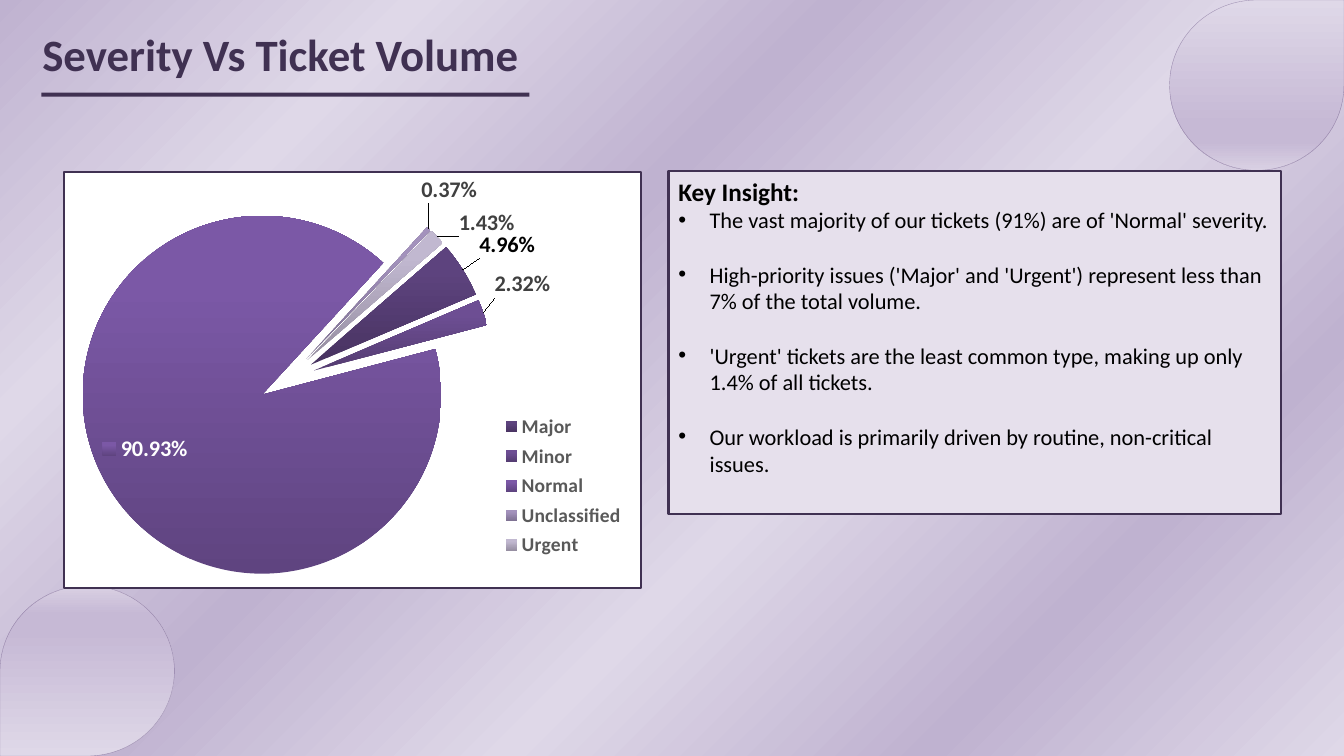
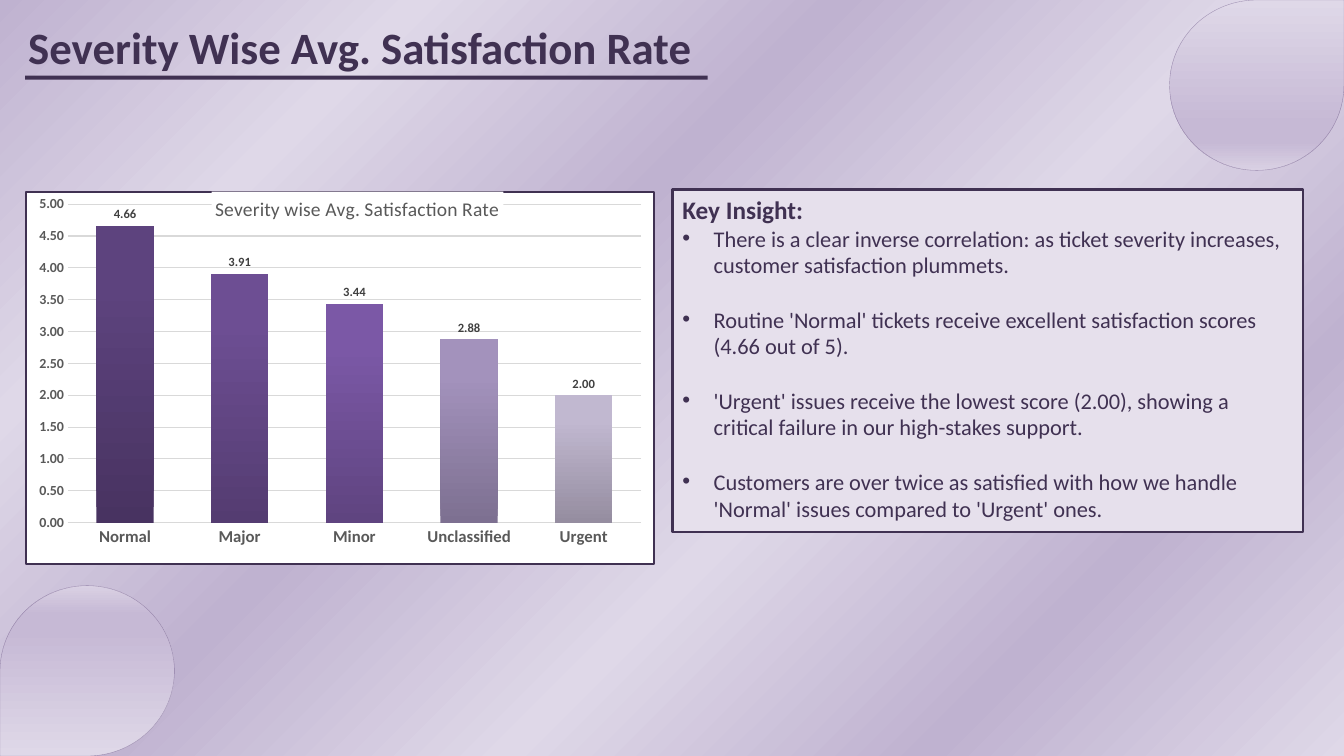
from lxml import etree
from pptx import Presentation, util as u
from pptx.chart.data import CategoryChartData
from pptx.dml.color import RGBColor
from pptx.enum import chart as ec, shapes, text
from pptx.oxml import parse_xml
from pptx.oxml.ns import nsdecls, qn

WIDE, HIGH = 13.33, 7.5
FACE = "Calibri"
INK, GREY, PALE, BLACK, WHITE = "403152", "595959", "E6E0EC", "000000", "FFFFFF"
BACK = [(0, "BFB2D0"), (20, "DFD8E8"), (40, "BFB2D0"),
        (60, "DFD8E8"), (80, "BFB2D0"), (100, "DFD8E8")]
DROP = [(0, "DFD8E8"), (74, "C6B9D5"), (83, "C6B9D5"), (100, "D9D0E3")]
TONES = [("483361", "5D437E", "5E4280"), ("543C71", "6D4E93", "6E4D95"),
         ("5F4480", "7B58A6", "7C57A8"), ("7D7091", "A392BC", "A391BE"),
         ("958DA0", "C1B8D0", "C2B8D1")]


def rgb(tone):
    return RGBColor.from_string(tone)


def box(x, y, w, h):
    return [u.Inches(v) for v in (x, y, w, h)]


def put(item, **vals):
    for key, val in vals.items():
        setattr(item, key, val)


def style(font, size, tone, bold=False):
    put(font, name=FACE, size=u.Pt(size), bold=bold)
    font.color.rgb = rgb(tone)


def paint(fill, tone):
    fill.solid()
    fill.fore_color.rgb = rgb(tone)


def blend(fill, stops, turn):
    """Fill with a gradient; turn is the clockwise angle in degrees."""
    fill.gradient()
    fill.gradient_angle = 360 - turn
    stack = fill.gradient_stops[0]._gs.getparent()
    for old in list(stack):
        stack.remove(old)
    for pos, tone in stops:
        stop = etree.SubElement(stack, qn("a:gs"), pos=str(pos * 1000))
        etree.SubElement(stop, qn("a:srgbClr"), val=tone)


def solid(slide, kind, place, tone=None, edge=None, width=1.5):
    shape = slide.shapes.add_shape(kind, *box(*place))
    shape.shadow.inherit = False
    if tone:
        paint(shape.fill, tone)
    if edge:
        shape.line.color.rgb = rgb(edge)
        shape.line.width = u.Pt(width)
    else:
        shape.line.fill.background()
    return shape


def scene(slide):
    """Draw the striped background and the two corner drops."""
    blend(slide.background.fill, BACK, 45)
    w, h = 1.73, 1.69
    for x, y, turn in ((WIDE - w, 0, 0), (0, HIGH - h, 180)):
        drop = solid(slide, shapes.MSO_SHAPE.TEAR, (x, y, w, h),
                     edge="604A7B", width=0.25)
        drop.rotation = turn
        blend(drop.fill, DROP, 90)
        tint = drop._element.spPr.xpath("a:ln//a:srgbClr")[0]
        etree.SubElement(tint, qn("a:alpha"), val="50000")


def head(slide, words, place, rule):
    frame = slide.shapes.add_textbox(*box(*place)).text_frame
    put(frame, word_wrap=True, margin_left=u.Inches(0.01), margin_right=0,
        margin_top=u.Inches(0.01), margin_bottom=0)
    frame.text = words
    style(frame.paragraphs[0].font, 32, INK, True)
    solid(slide, shapes.MSO_SHAPE.RECTANGLE, rule, INK)


def bullet(par):
    props = par._p.get_or_add_pPr()
    props.set("marL", str(u.Inches(0.31)))
    props.set("indent", str(-u.Inches(0.31)))
    etree.SubElement(props, qn("a:buFont"), typeface="Arial")
    etree.SubElement(props, qn("a:buChar"), char="•")


def panel(slide, place, notes, tone):
    frame = solid(slide, shapes.MSO_SHAPE.RECTANGLE, place, PALE, INK).text_frame
    put(frame, word_wrap=True, vertical_anchor=text.MSO_ANCHOR.TOP)
    for row, words in enumerate(["Key Insight:"] + notes):
        par = frame.add_paragraph() if row else frame.paragraphs[0]
        par.text = words
        par.alignment = text.PP_ALIGN.LEFT
        if row > 1:
            par.space_before = u.Pt(19.5)
        if row:
            bullet(par)
        style(par.font, 16 if row else 18, tone, not row)


def layout(node, spot, at=1, **vals):
    """Give a chart part a manual layout as its child number at."""
    for old in node.findall(qn("c:layout")):
        node.remove(old)
    rules = "".join(f'<c:{k} val="{v}"/>' for k, v in (vals | spot).items())
    node.insert(at, parse_xml(f'<c:layout {nsdecls("c")}><c:manualLayout>'
                              f'{rules}</c:manualLayout></c:layout>'))


def spot(x, y, w, h):
    return dict(xMode="edge", yMode="edge", x=x, y=y, w=w, h=h)


def graph(slide, kind, place, cats, vals, form, size, area):
    """Add a framed one-series chart with shaded points and value labels."""
    data = CategoryChartData(number_format=form)
    data.categories = cats
    data.add_series("Series 1", vals)
    chart = slide.shapes.add_chart(kind, *box(*place), data).chart
    style(chart.font, 10, BLACK)
    put(chart, has_title=False, has_legend=False)
    chart._chartSpace.chart.addnext(parse_xml(
        f'<c:spPr {nsdecls("c", "a")}>'
        f'<a:solidFill><a:srgbClr val="{WHITE}"/></a:solidFill>'
        f'<a:ln w="{u.Pt(1.5)}"><a:solidFill><a:srgbClr val="{INK}"/>'
        '</a:solidFill></a:ln></c:spPr>'))
    layout(chart._chartSpace.chart.plotArea, spot(*area), 0, layoutTarget="inner")
    line = chart.plots[0].series[0]
    for num, tones in enumerate(TONES):
        blend(line.points[num].format.fill, list(zip((0, 80, 100), tones)), 270)
    put(line.data_labels, show_value=True, number_format=form,
        number_format_is_linked=False)
    style(line.data_labels.font, size, "404040", True)
    return chart, line


def pie(slide, place):
    cats = ["Major", "Minor", "Normal", "Unclassified", "Urgent"]
    vals = [0.0496, 0.0232, 0.9093, 0.0037, 0.0143]
    chart, line = graph(slide, ec.XL_CHART_TYPE.PIE, place, cats, vals,
                        "0.00%", 16, (0.006, 0, 0.76, 1))
    plot = chart.plots[0]
    plot.vary_by_categories = True
    plot._element.xpath("c:firstSliceAng") or etree.SubElement(
        plot._element, qn("c:firstSliceAng"))
    plot._element.find(qn("c:firstSliceAng")).set("val", "49")
    line._element.xpath("c:dPt")[0].addprevious(
        parse_xml(f'<c:explosion {nsdecls("c")} val="16"/>'))
    best, mid = ec.XL_LABEL_POSITION.BEST_FIT, ec.XL_LABEL_POSITION.CENTER
    line.data_labels.position = best
    moves = [(0.02, -0.02), (0.01, -0.03), (-0.07, 0.02), (-0.02, -0.05), (0.03, 0.01)]
    tones = [BLACK, "404040", WHITE, "404040", "404040"]
    for num, (x, y) in enumerate(moves):
        label = line.points[num].data_label
        style(label.font, 16, tones[num], True)
        label.position = mid if cats[num] == "Normal" else best
        node = line._element.xpath(f"c:dLbls/c:dLbl[c:idx/@val={num}]")[0]
        layout(node, dict(x=x, y=y))
        if cats[num] == "Normal":
            node.find(qn("c:showLegendKey")).set("val", "1")
    chart.has_legend = True
    put(chart.legend, position=ec.XL_LEGEND_POSITION.RIGHT, include_in_layout=False)
    style(chart.legend.font, 14, GREY, True)
    layout(chart.legend._element, spot(0.75, 0.57, 0.23, 0.37))


def bars(slide, place):
    cats = ["Normal", "Major", "Minor", "Unclassified", "Urgent"]
    chart, line = graph(slide, ec.XL_CHART_TYPE.COLUMN_CLUSTERED, place, cats,
                        [4.66, 3.91, 3.44, 2.88, 2], "0.00", 9,
                        (0.066, 0.034, 0.913, 0.854))
    put(chart.plots[0], gap_width=100, overlap=-24, vary_by_categories=False)
    line.data_labels.position = ec.XL_LABEL_POSITION.OUTSIDE_END
    for axis, size in ((chart.category_axis, 12), (chart.value_axis, 10)):
        put(axis, major_tick_mark=ec.XL_TICK_MARK.NONE,
            minor_tick_mark=ec.XL_TICK_MARK.NONE)
        style(axis.tick_labels.font, size, GREY, True)
    put(axis, minimum_scale=0, maximum_scale=5, major_unit=0.5,
        has_major_gridlines=True)
    put(axis.tick_labels, number_format="0.00", number_format_is_linked=False)
    axis.format.line.fill.background()
    for rule, width in ((chart.category_axis.format.line, 1),
                        (axis.major_gridlines.format.line, 0.75)):
        rule.color.rgb = rgb("D9D9D9")
        rule.width = u.Pt(width)
    title = chart.chart_title
    title.text_frame.text = "Severity wise Avg. Satisfaction Rate"
    style(title.text_frame.paragraphs[0].runs[0].font, 14, GREY)
    paint(title.format.fill, WHITE)
    layout(title._element, dict(xMode="edge", yMode="edge", x=0.295, y=0))


PAGES = [
    dict(title="Severity Vs Ticket Volume", spot=(0.41, 0.26, 5.92, 0.55),
         rule=(0.41, 0.92, 4.84, 0.04), draw=pie, chart=(0.62, 1.7, 5.75, 4.14),
         panel=(6.63, 1.7, 6.08, 3.4), tone=BLACK, notes=[
             "The vast majority of our tickets (91%) are of 'Normal' severity.",
             "High-priority issues ('Major' and 'Urgent') represent less than 7% of the total volume.",
             "'Urgent' tickets are the least common type, making up only 1.4% of all tickets.",
             "Our workload is primarily driven by routine, non-critical issues."]),
    dict(title="Severity Wise Avg. Satisfaction Rate", spot=(0.27, 0.19, 6.89, 0.55),
         rule=(0.25, 0.75, 6.77, 0.04), draw=bars, chart=(0.25, 1.89, 6.25, 3.72),
         panel=(6.67, 1.88, 6.25, 3.4), tone=INK, notes=[
             "There is a clear inverse correlation: as ticket severity increases, customer satisfaction plummets.",
             "Routine 'Normal' tickets receive excellent satisfaction scores (4.66 out of 5).",
             "'Urgent' issues receive the lowest score (2.00), showing a critical failure in our high-stakes support.",
             "Customers are over twice as satisfied with how we handle 'Normal' issues compared to 'Urgent' ones."]),
]


def main():
    deck = Presentation()
    put(deck, slide_width=u.Inches(WIDE), slide_height=u.Inches(HIGH))
    for page in PAGES:
        slide = deck.slides.add_slide(deck.slide_layouts[6])
        scene(slide)
        head(slide, page["title"], page["spot"], page["rule"])
        page["draw"](slide, page["chart"])
        panel(slide, page["panel"], page["notes"], page["tone"])
    deck.save("out.pptx")


if __name__ == "__main__":
    main()
